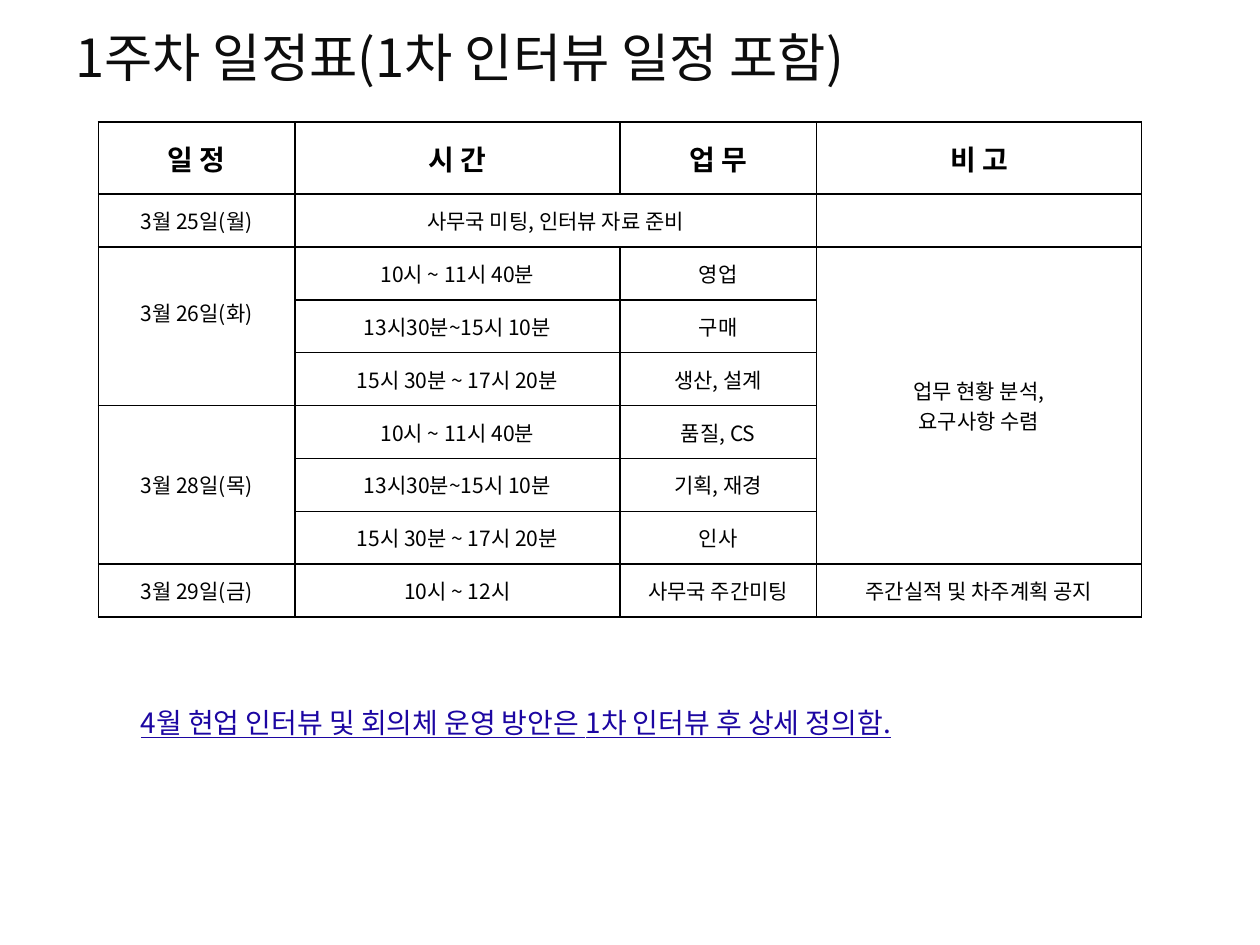
from lxml.etree import SubElement
from pptx import Presentation
from pptx.dml.color import RGBColor
from pptx.enum.text import MSO_ANCHOR, PP_ALIGN
from pptx.oxml.ns import qn
from pptx.util import Inches, Pt

FONT = "Noto Sans CJK KR"
COLUMNS = [1.56, 2.58, 1.56, 2.58]
HEADER_HEIGHT, ROW_HEIGHT = 0.57, 0.42
SCHEDULE = [
    ["일 정", "시 간", "업 무", "비 고"],
    ["3월 25일(월)", "사무국 미팅, 인터뷰 자료 준비", "", ""],
    ["3월 26일(화)", "10시 ~ 11시 40분", "영업", "업무 현황 분석,\n요구사항 수렴"],
    ["", "13시30분~15시 10분", "구매", ""],
    ["", "15시 30분 ~ 17시 20분", "생산, 설계", ""],
    ["3월 28일(목)", "10시 ~ 11시 40분", "품질, CS", ""],
    ["", "13시30분~15시 10분", "기획, 재경", ""],
    ["", "15시 30분 ~ 17시 20분", "인사", ""],
    ["3월 29일(금)", "10시 ~ 12시", "사무국 주간미팅", "주간실적 및 차주계획 공지"],
]
# First and last cell of each merged area, as (row, column)
MERGES = [((1, 1), (1, 2)), ((2, 0), (4, 0)), ((5, 0), (7, 0)), ((2, 3), (7, 3))]


def color(value):
    return RGBColor.from_string(value)


def format_text(frame, size, ink, align=PP_ALIGN.LEFT, bold=False, underline=False):
    for paragraph in frame.paragraphs:
        paragraph.alignment = align
        paragraph.font.size = Pt(size)
        for run in paragraph.runs:
            font = run.font
            font.size, font.bold, font.underline = Pt(size), bold, underline
            font.color.rgb = color(ink)
            font.name = FONT
            SubElement(font._element, qn("a:ea"), typeface=FONT)


def draw_borders(cell, ink="000000", width=1):
    """Borders precede the fill in the cell properties, so call this first."""
    properties = cell._tc.get_or_add_tcPr()
    for side in ("lnL", "lnR", "lnT", "lnB"):
        line = SubElement(properties, qn(f"a:{side}"), w=str(Pt(width)))
        fill = SubElement(line, qn("a:solidFill"))
        SubElement(fill, qn("a:srgbClr"), val=ink)


def add_title(slide, left, top, width, height):
    title = slide.shapes.title
    title.left, title.top, title.width, title.height = map(Inches, (left, top, width, height))
    frame = title.text_frame
    frame.text = "1주차 일정표(1차 인터뷰 일정 포함)"
    frame.vertical_anchor = MSO_ANCHOR.MIDDLE
    format_text(frame, 30, "0D0D0D")


def add_schedule(slide, left, top):
    heights = [HEADER_HEIGHT] + [ROW_HEIGHT] * (len(SCHEDULE) - 1)
    table = slide.shapes.add_table(
        len(heights), len(COLUMNS), Inches(left), Inches(top),
        Inches(sum(COLUMNS)), Inches(sum(heights))).table
    for column, width in zip(table.columns, COLUMNS):
        column.width = Inches(width)
    for row, height in zip(table.rows, heights):
        row.height = Inches(height)
    for r, entries in enumerate(SCHEDULE):
        for c, entry in enumerate(entries):
            cell = table.cell(r, c)
            draw_borders(cell)
            cell.fill.background()
            cell.vertical_anchor = MSO_ANCHOR.MIDDLE
            cell.text_frame.text = entry
            format_text(cell.text_frame, 12 if r else 16, "000000",
                        PP_ALIGN.CENTER, bold=r == 0)
    for first, last in MERGES:
        table.cell(*first).merge(table.cell(*last))
    table.cell(2, 0).margin_bottom = Inches(0.27)


def add_note(slide, left, top, width, height):
    frame = slide.shapes.add_textbox(*map(Inches, (left, top, width, height))).text_frame
    frame.word_wrap = True
    frame.text = "4월 현업 인터뷰 및 회의체 운영 방안은 1차 인터뷰 후 상세 정의함."
    format_text(frame, 16, "1C06A2", underline=True)


def main():
    deck = Presentation()
    deck.slide_width, deck.slide_height = Inches(10), Inches(7.5)
    slide = deck.slides.add_slide(deck.slide_layouts[5])
    add_title(slide, 0.5, 0.08, 9, 0.73)
    add_schedule(slide, 0.78, 0.97)
    add_note(slide, 1.02, 5.55, 8.13, 0.37)
    deck.save("out.pptx")


if __name__ == "__main__":
    main()
